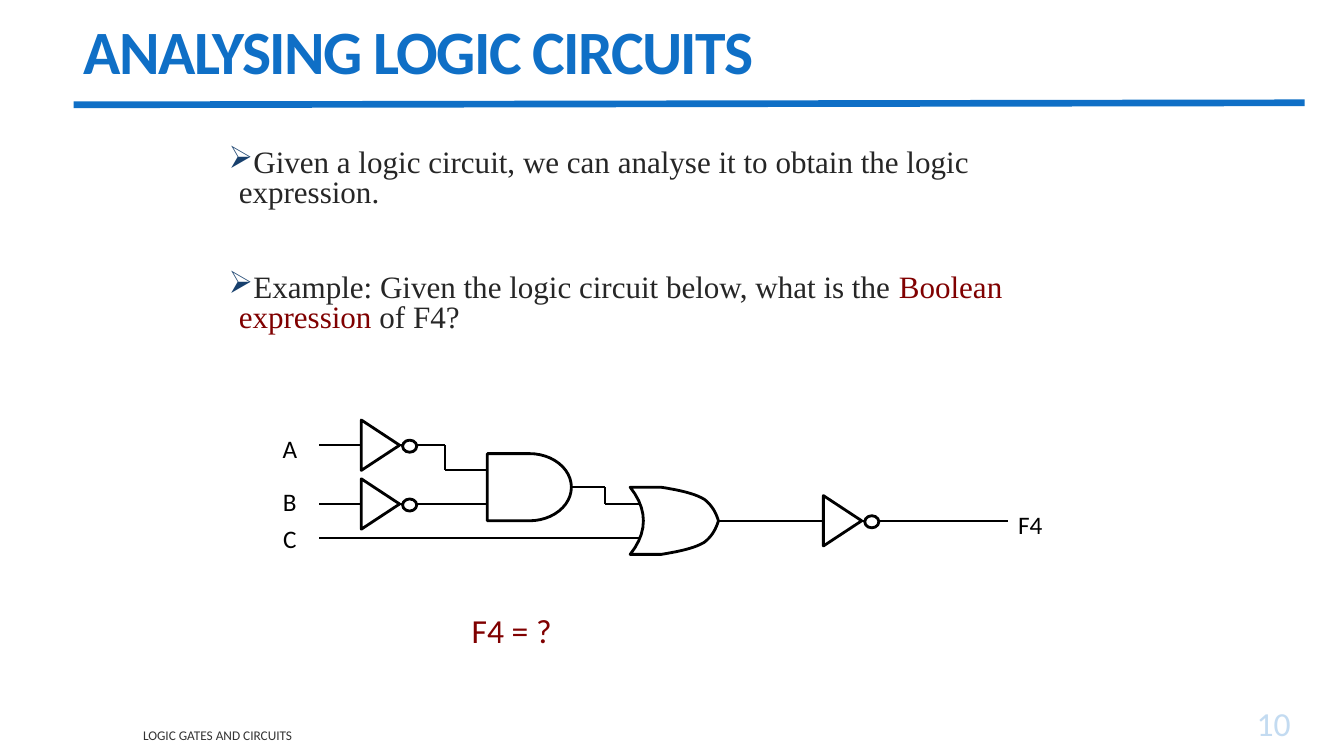
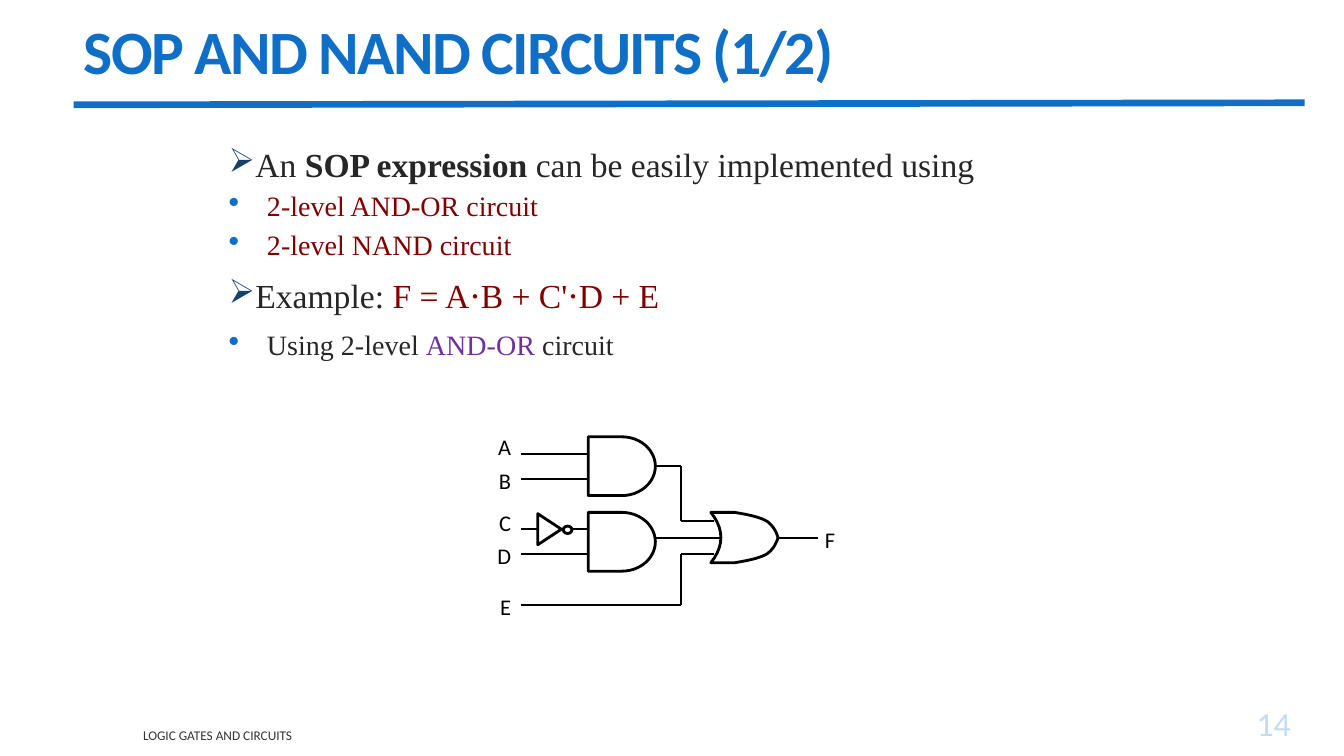
from lxml import etree
from pptx import Presentation
from pptx.dml.color import RGBColor
from pptx.enum.shapes import MSO_CONNECTOR, MSO_SHAPE
from pptx.enum.text import MSO_ANCHOR, PP_ALIGN
from pptx.oxml.ns import qn
from pptx.util import Inches, Pt

STRAIGHT = MSO_CONNECTOR.STRAIGHT
DELAY, MERGE, OVAL = MSO_SHAPE.FLOWCHART_DELAY, MSO_SHAPE.FLOWCHART_MERGE, MSO_SHAPE.OVAL
TOP, MIDDLE, BOTTOM = MSO_ANCHOR.TOP, MSO_ANCHOR.MIDDLE, MSO_ANCHOR.BOTTOM
LEFT, CENTER, RIGHT = PP_ALIGN.LEFT, PP_ALIGN.CENTER, PP_ALIGN.RIGHT

BLUE, PALE, NAVY = "0F6FC6", "C3DBF1", "17406D"
BLACK, WHITE, GREY, INK = "000000", "FFFFFF", "333333", "262626"
RED, PURPLE = "800000", "7030A0"
SANS, SERIF = "Calibri", "Times New Roman"
UNIT = Inches(1) // 12  # circuit grid step

# Bullet styles: sign, colour, size in percent, hanging indent in inches
ARROW = ("➢", NAVY, 100, 0.1)
DOT = ("•", BLUE, 112, 0.38)

# Upper front edge of an OR gate, as shares of its box
FRONT = [[(0.35, 0), (0.54, 0.04), (0.73, 0.09), (0.84, 0.18)],
         [(0.84, 0.18), (0.94, 0.28), (0.98, 0.41), (1, 0.5)]]
BACK = [(0, 1), (0.2, 0.67), (0.2, 0.33), (0, 0)]


def rgb(code):
    return RGBColor.from_string(code)


def style(run, size, color, font=SANS, bold=False):
    run.font.size = Pt(size)
    run.font.name = font
    run.font.bold = bold
    run.font.color.rgb = rgb(color)


def label(shapes, box, text, size, color=BLACK, align=LEFT, anchor=TOP):
    """Plain text box; each line of text is one paragraph."""
    frame = shapes.add_textbox(*box).text_frame
    frame.word_wrap = True
    frame.vertical_anchor = anchor
    frame.text = text
    for para in frame.paragraphs:
        para.alignment = align
        style(para.runs[0], size, color)
    return frame


def line(shapes, start, end, color, width):
    wire = shapes.add_connector(STRAIGHT, *start, *end)
    wire.line.color.rgb = rgb(color)
    wire.line.width = Pt(width)
    etree.SubElement(wire._element.spPr, qn("a:effectLst"))
    return wire


def bullet(para, sign, color, size, indent):
    props = para._p.get_or_add_pPr()
    props.set("marL", str(Inches(indent)))
    props.set("indent", str(-Inches(indent)))
    tint = etree.SubElement(props, qn("a:buClr"))
    etree.SubElement(tint, qn("a:srgbClr"), val=color)
    etree.SubElement(props, qn("a:buSzPct"), val=str(size * 1000))
    etree.SubElement(props, qn("a:buChar"), char=sign)


def body(slide, box, spacing, items):
    """Bulleted text; an item is (bullet, size, space before, runs)."""
    frame = slide.shapes.add_textbox(*box).text_frame
    frame.word_wrap = True
    for i, (mark, size, before, runs) in enumerate(items):
        para = frame.add_paragraph() if i else frame.paragraphs[0]
        bullet(para, *mark)
        para.line_spacing = spacing
        if before:
            para.space_before = Pt(before)
        for text, color, bold in runs:
            run = para.add_run()
            run.text = text
            style(run, size, color, SERIF, bold)


def area(left, top, width, height):
    return [Inches(v) for v in (left, top, width, height)]


def page(prs, title, number):
    """Title, rule, footer and page number shared by all slides."""
    slide = prs.slides.add_slide(prs.slide_layouts[5])
    head = slide.shapes.title
    head.left, head.top, head.width, head.height = area(0.73, 0.08, 11.78, 0.94)
    frame = head.text_frame
    frame.text = title
    frame.word_wrap = True
    frame.vertical_anchor = MIDDLE
    para = frame.paragraphs[0]
    para.alignment = LEFT
    para.line_spacing = 0.85
    style(para.runs[0], 44, BLUE, bold=True)
    para.runs[0].font._element.set("spc", "-120")
    line(slide.shapes, (Inches(0.73), Inches(1.04)),
         (Inches(12.94), Inches(1.02)), BLUE, 4.75)
    label(slide.shapes, area(1.32, 7.17, 7.52, 0.25), "LOGIC GATES AND CIRCUITS",
          9.5, GREY, anchor=MIDDLE)
    label(slide.shapes, area(11.6, 7, 1.3, 0.42), number, 24, PALE, RIGHT, BOTTOM)
    return slide


def curve(a, b, c, d, steps=10):
    """Points along a cubic Bezier curve."""
    points = []
    for i in range(steps + 1):
        t = i / steps
        u = 1 - t
        points.append(tuple(u**3 * p + 3 * u * u * t * q + 3 * u * t * t * r + t**3 * s
                            for p, q, r, s in zip(a, b, c, d)))
    return points


class Circuit:
    """A grouped diagram, placed in grid units from its top left corner."""

    def __init__(self, slide, col, row):
        self.shapes = slide.shapes.add_group_shape().shapes
        self.col, self.row = col, row

    def spot(self, x, y):
        return round((self.col + x) * UNIT), round((self.row + y) * UNIT)

    def box(self, x, y, w, h):
        return *self.spot(x, y), round(w * UNIT), round(h * UNIT)

    def draw(self, shape, fill=None):
        shape.shadow.inherit = False
        if fill:
            shape.fill.solid()
            shape.fill.fore_color.rgb = rgb(fill)
        else:
            shape.fill.background()
        shape.line.color.rgb = rgb(BLACK)
        shape.line.width = Pt(2)
        return shape

    def wire(self, *points, gate=None):
        spots = [self.spot(*p) for p in points]
        for i, (start, end) in enumerate(zip(spots, spots[1:])):
            part = line(self.shapes, start, end, BLACK, 1.5)
            if gate is not None and i == 0:
                part.begin_connect(gate, 3)

    def both(self, x, y, w, h):
        """AND gate."""
        return self.draw(self.shapes.add_shape(DELAY, *self.box(x, y, w, h)))

    def either(self, x, y, w, h):
        """OR gate."""
        upper = [p for part in FRONT for p in curve(*part)]
        lower = [(px, 1 - py) for px, py in reversed(upper)]
        edge = [self.spot(x + px * w, y + py * h)
                for px, py in upper + lower + curve(*BACK)]
        pen = self.shapes.build_freeform(*edge[0])
        pen.add_line_segments(edge[1:], close=True)
        self.draw(pen.convert_to_shape())

    def invert(self, x, mid, h):
        """NOT gate: a turned triangle and a bubble."""
        w = 0.76 * h
        spot = self.box(x + (w - h) / 2, mid - w / 2, h, w)
        self.draw(self.shapes.add_shape(MERGE, *spot), WHITE).rotation = 270
        spot = self.box(x + 0.82 * h, mid - 0.1 * h, 0.28 * h, 0.24 * h)
        self.draw(self.shapes.add_shape(OVAL, *spot), WHITE)

    def name(self, x, y, w, h, text, size, align=LEFT):
        return label(self.shapes, self.box(x, y, w, h), text, size, align=align)


def mixed(slide, col, row):
    """Circuit for F4."""
    net = Circuit(slide, col, row)
    names = net.name(0, 1, 5, 16.3, "A\nB\nC", 18, CENTER).paragraphs
    names[0].space_after = Pt(11)
    for para in names[1:]:
        para.space_before = Pt(5)
    # Input wires
    net.wire((6, 3), (21, 3), (21, 6), (26, 6))
    net.wire((6, 10), (26, 10))
    net.wire((6, 14), (44, 14))
    # Gates and output
    gate = net.both(26, 4, 10, 8)
    net.wire((36, 8), (40, 8), (40, 10), (44, 10), gate=gate)
    net.either(43, 8, 10.5, 8)
    net.wire((53.5, 12), (88, 12))
    for x, mid in ((11, 3), (11, 10), (66, 12)):
        net.invert(x, mid, 6)
    net.name(88, 10, 7, 4.8, "F4", 18)


def levels(slide, col, row):
    """Two-level AND-OR circuit for F."""
    net = Circuit(slide, col, row)
    for text, y in zip("ABCDE", (0, 4, 9, 13, 19)):
        net.name(0, y, 5, 4.4, text, 16, RIGHT)
    # Input wires
    for y in (3, 6, 12, 15):
        net.wire((5, y), (13, y))
    net.wire((5, 21), (24, 21), (24, 15), (28, 15))
    # Gates and output
    gate = net.both(13, 1, 8, 7)
    net.both(13, 10, 8, 7)
    net.wire((21, 4.5), (24, 4.5), (24, 11), (28, 11), gate=gate)
    net.wire((21, 13), (28.7, 13))
    net.either(27.6, 10, 8, 6)
    net.wire((35.6, 13), (40.3, 13))
    net.invert(7, 12, 3.7)
    net.name(40, 11, 5.8, 4.4, "F", 16)


def main():
    prs = Presentation()
    prs.slide_width, prs.slide_height = Inches(13.33), Inches(7.5)

    # Analysing circuits
    slide = page(prs, "ANALYSING LOGIC CIRCUITS", "10")
    body(slide, area(2.17, 1.44, 9, 2), 0.8, [
        (ARROW, 22.2, 0, [("Given a logic circuit, we can analyse it to obtain "
                           "the logic expression.", INK, False)]),
        (ARROW, 22.2, 46.5, [
            ("Example: Given the logic circuit below, what is the ", INK, False),
            ("Boolean expression ", RED, False), ("of F4?", INK, False)]),
    ])
    mixed(slide, 32, 50)
    label(slide.shapes, area(4.58, 6, 4.42, 0.5), "F4 = ?", 24, RED)

    # Sum of products
    slide = page(prs, "SOP AND NAND CIRCUITS (1/2)", "14")
    body(slide, area(2.17, 1.42, 9, 2.3), 0.9, [
        (ARROW, 24, 0, [("An ", INK, False), ("SOP expression ", INK, True),
                        ("can be easily implemented using", INK, False)]),
        (DOT, 20, 6, [("2-level AND-OR circuit", RED, False)]),
        (DOT, 20, 6, [("2-level NAND circuit", RED, False)]),
        (ARROW, 24, 13, [("Example:", INK, False),
                         (" F = A⋅B + C'⋅D + E", RED, False)]),
        (DOT, 20, 11, [("Using 2-level ", INK, False), ("AND-OR", PURPLE, False),
                       (" circuit", INK, False)]),
    ])
    levels(slide, 57, 51)
    prs.save("out.pptx")


if __name__ == "__main__":
    main()
